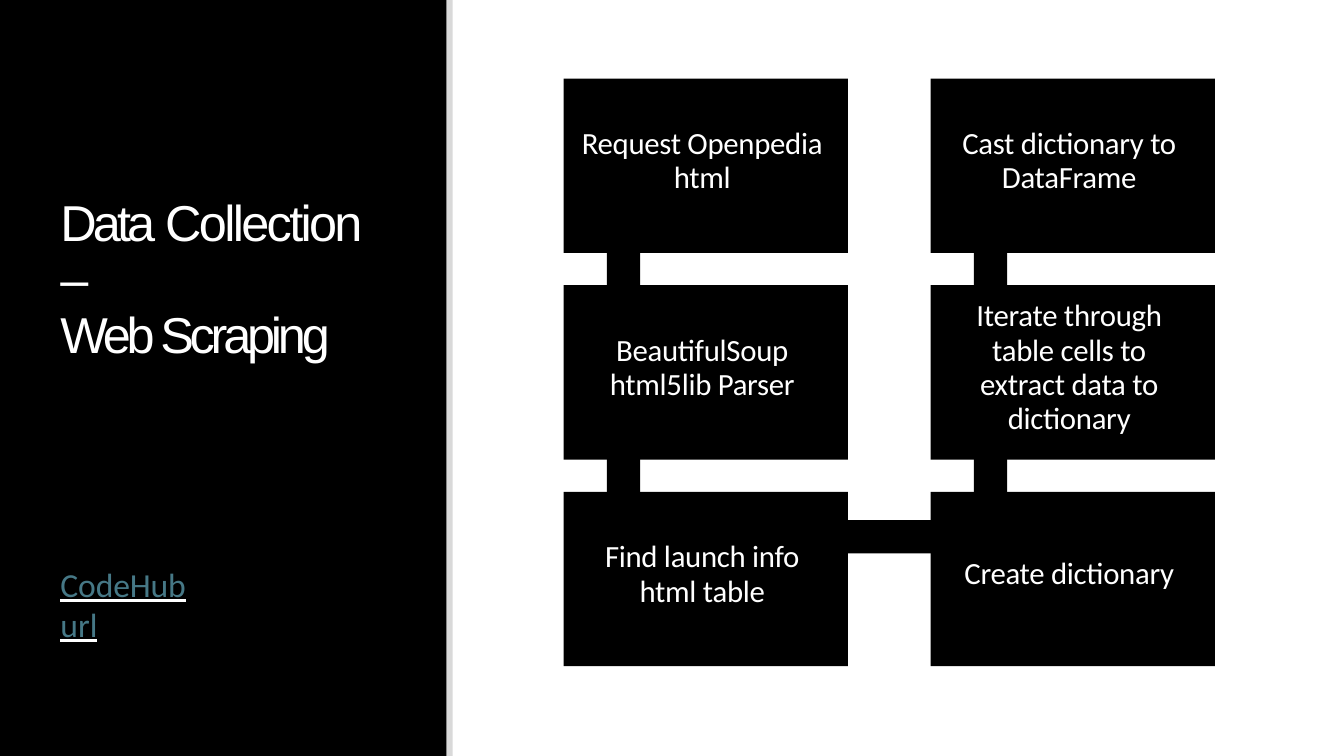
from dataclasses import dataclass

from pptx import Presentation, util as u
from pptx.dml.color import RGBColor
from pptx.enum import shapes, text
from pptx.oxml import parse_xml
from pptx.oxml.ns import nsdecls

# Content: each paragraph is a list of (text, letter spacing in points)
TITLE = [
    [("Data ", -2.8), ("Collection ", -1.9), ("–", -2.1)],
    [("Web Scraping", -3)],
]
LINK = [[("CodeHub", -0.1), (" ", -1.6), ("url", 0)]]
# Steps in flow order: (column, row, lines)
STEPS = [
    (0, 0, ["Request Openpedia", "html"]),
    (0, 1, ["BeautifulSoup", "html5lib Parser"]),
    (0, 2, ["Find launch info", "html table"]),
    (1, 2, ["Create dictionary"]),
    (1, 1, ["Iterate through", "table cells to", "extract data to", "dictionary"]),
    (1, 0, ["Cast dictionary to", "DataFrame"]),
]


@dataclass(frozen=True)
class Theme:
    dark: str = "000000"
    light: str = "FFFFFF"
    edge: str = "D9D9D9"
    link: str = "467886"
    title_font: str = "Arial"
    body_font: str = "Calibri"
    title_size: int = 36
    link_size: int = 24
    step_size: int = 22


T = Theme()

# Layout in inches
W, H = 13.33, 7.5
PANEL_W, EDGE_W = 4.43, 0.06
MARGIN = 0.59
GRID_X, GRID_Y = 5.59, 0.78
COL_PITCH, ROW_PITCH = 3.64, 2.05
STEP_W, STEP_H = 2.82, 1.73
BAR, BAR_DX, BAR_DY = 0.33, 0.43, 0.28

prs = Presentation()
prs.slide_width, prs.slide_height = u.Inches(W), u.Inches(H)
s = prs.slides.add_slide(prs.slide_layouts[6])


def add_box(x, y, w, h, color):
    sp = s.shapes.add_shape(shapes.MSO_SHAPE.RECTANGLE, *map(u.Inches, (x, y, w, h)))
    sp.shadow.inherit = False
    sp.fill.solid()
    sp.fill.fore_color.rgb = RGBColor.from_string(color)
    sp.line.fill.background()
    return sp


def add_textbox(x, y, w, h):
    return s.shapes.add_textbox(*map(u.Inches, (x, y, w, h)))


def write(sp, paragraphs, *, size, font=T.body_font, color=T.light, line=None,
          align=text.PP_ALIGN.LEFT, anchor=text.MSO_ANCHOR.TOP,
          insets=(0, 0.01, 0, 0), underline=None):
    tf = sp.text_frame
    tf.word_wrap = True
    tf.vertical_anchor = anchor
    tf.margin_left, tf.margin_top, tf.margin_right, tf.margin_bottom = map(u.Inches, insets)
    for i, runs in enumerate(paragraphs):
        p = tf.add_paragraph() if i else tf.paragraphs[0]
        p.alignment = align
        if line:
            p.line_spacing = u.Pt(line)
        for content, spacing in runs:
            r = p.add_run()
            r.text = content
            r.font.size, r.font.name = u.Pt(size), font
            r.font.color.rgb = RGBColor.from_string(color)
            rPr = r.font._element
            rPr.set("spc", str(round(spacing * 100)))
            if underline:
                r.font.underline = True
                rPr.find("{*}solidFill").addnext(parse_xml(
                    f'<a:uFill {nsdecls("a")}><a:solidFill>'
                    f'<a:srgbClr val="{underline}"/></a:solidFill></a:uFill>'))


def cell(col, row):
    return GRID_X + col * COL_PITCH, GRID_Y + row * ROW_PITCH


# Left panel with title and link
add_box(0, 0, PANEL_W, H, T.dark)
add_box(PANEL_W, 0, EDGE_W, H, T.edge)
write(add_textbox(MARGIN + 0.01, 1.93, 3.3, 1.7), TITLE,
      size=T.title_size, font=T.title_font, line=40.1)
write(add_textbox(MARGIN + 0.01, 5.58, 1.63, 0.42), LINK,
      size=T.link_size, color=T.link, underline=T.light)

# Bars that join each step to the next
for (c1, r1, _), (c2, r2, _) in zip(STEPS, STEPS[1:]):
    x, y = cell(min(c1, c2), min(r1, r2))
    add_box(x + BAR_DX, y + BAR_DY,
            abs(c2 - c1) * COL_PITCH + BAR, abs(r2 - r1) * ROW_PITCH + BAR, T.dark)

# Steps, with text slightly above and left of centre
for col, row, lines in STEPS:
    write(add_box(*cell(col, row), STEP_W, STEP_H, T.dark),
          [[(words, -0.2)] for words in lines], size=T.step_size, line=24.5,
          align=text.PP_ALIGN.CENTER, anchor=text.MSO_ANCHOR.MIDDLE,
          insets=(0, 0, 0.07, 0.1))

prs.save("out.pptx")
